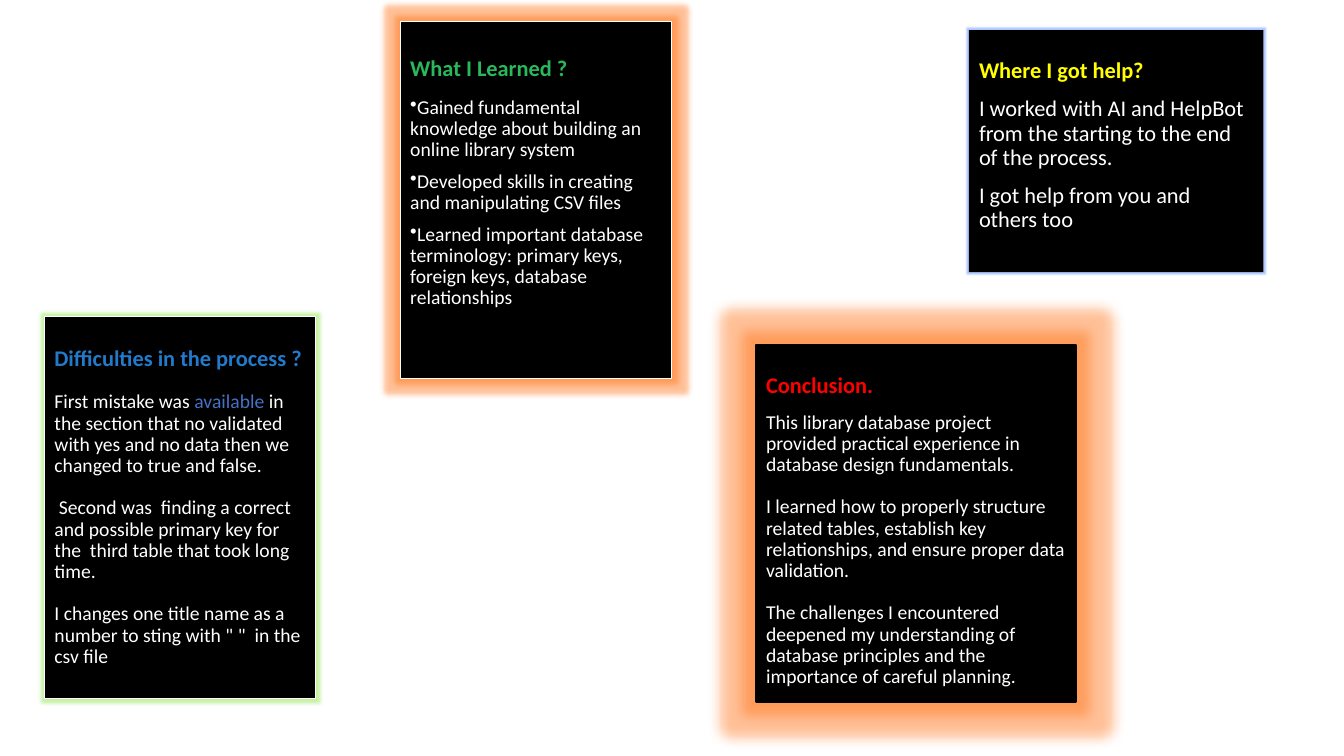
from dataclasses import dataclass

from lxml.etree import SubElement
from pptx import Presentation
from pptx.dml.color import RGBColor
from pptx.enum.text import MSO_ANCHOR, MSO_AUTO_SIZE, PP_ALIGN
from pptx.oxml.ns import qn
from pptx.shapes.autoshape import Shape
from pptx.slide import Slide
from pptx.text.text import _Paragraph as Para
from pptx.util import Inches, Pt

ACCENT = "4472C4"
FRAME = {"word_wrap": True, "auto_size": MSO_AUTO_SIZE.NONE,
         "vertical_anchor": MSO_ANCHOR.TOP,
         "margin_left": Inches(0.1), "margin_right": Inches(0.1)}


@dataclass
class Note:
    box: tuple[float, float, float, float]
    head: str
    hue: str
    body: list[str]  # text between bars takes the accent colour
    glow: tuple[str, float]  # colour, radius in points
    line: tuple[str, float] | None = None  # colour, width in points
    top: float = 0.29
    size: int = 14
    gaps: tuple[float, float] = (10, 10)  # after the head, between paragraphs
    bullet: bool = False
    holder: int | None = None


NOTES = [
    Note((0.44, 3.14, 2.69, 3.79), "Difficulties in the process ?", "227ACB",
         ["First mistake was |available| in the section that no validated with "
          "yes and no data then we changed to true and false.",
          " Second was  finding a correct and possible primary key for the  "
          "third table that took long time.",
          "I changes one title name as a number to sting with \" \"  in the csv file"],
         ("70DD1E", 5), ("FFFFFF", 0.5), top=0.3, gaps=(15, 15.2), holder=0),
    Note((9.61, 0.3, 2.92, 2.4), "Where I got help?", "FFFF00",
         ["I worked with AI and HelpBot from the starting to the end of the process.",
          "I got help from you and others too"],
         ("2E74FF", 3), size=16, holder=1),
    Note((3.97, 0.21, 2.69, 3.54), "What I Learned ?", "29B95C",
         ["Gained fundamental knowledge about building an online library system",
          "Developed skills in creating and manipulating CSV files",
          "Learned important database terminology: primary keys, foreign keys, "
          "database relationships"],
         ("FF6600", 8), ("FFFFFF", 0.5), top=0.36, gaps=(11.2, 7.5), bullet=True),
    Note((7.5, 3.42, 3.17, 3.54), "Conclusion.", "FF0000",
         ["This library database project provided practical experience in "
          "database design fundamentals.",
          "I learned how to properly structure related tables, establish key "
          "relationships, and ensure proper data validation.",
          "The challenges I encountered deepened my understanding of database "
          "principles and the importance of careful planning."],
         ("FF6600", 18), ("000000", 1.5), gaps=(10, 15.2)),
]


def color(code: str) -> RGBColor:
    return RGBColor.from_string(code)


def set_all(item: object, values: dict) -> None:
    for name, value in values.items():
        setattr(item, name, value)


def add_glow(shape: Shape, hue: str, radius: float) -> None:
    effects = SubElement(shape._element.spPr, qn("a:effectLst"))
    glow = SubElement(effects, qn("a:glow"), rad=str(Pt(radius)))
    tint = SubElement(glow, qn("a:srgbClr"), val=hue)
    SubElement(tint, qn("a:alpha"), val="40000")


def format_para(para: Para, gap: float, bullet: bool) -> None:
    set_all(para, {"alignment": PP_ALIGN.LEFT, "line_spacing": 0.9,
                   "space_before": Pt(gap), "space_after": Pt(0)})
    props = para._p.get_or_add_pPr()
    props.set("marL", "0")
    props.set("indent", "0")
    if bullet:
        SubElement(props, qn("a:buChar"), char="•")
    else:
        SubElement(props, qn("a:buNone"))


def add_run(para: Para, text: str, size: int, hue: str, bold: bool = False) -> None:
    run = para.add_run()
    run.text = text
    set_all(run.font, {"name": "Calibri", "size": Pt(size), "bold": bold})
    run.font.color.rgb = color(hue)


def draw_note(slide: Slide, note: Note) -> None:
    places = [Inches(side) for side in note.box]
    if note.holder is None:
        shape = slide.shapes.add_textbox(*places)
    else:
        shape = slide.placeholders[note.holder]
        set_all(shape, dict(zip(("left", "top", "width", "height"), places)))
    shape.fill.solid()
    shape.fill.fore_color.rgb = color("000000")
    if note.line:
        hue, width = note.line
        shape.line.color.rgb = color(hue)
        shape.line.width = Pt(width)
    else:
        shape.line.fill.background()
    add_glow(shape, *note.glow)

    frame = shape.text_frame
    set_all(frame, FRAME | {"margin_top": Inches(note.top)})
    head = frame.paragraphs[0]
    format_para(head, 0, False)
    add_run(head, note.head, 16, note.hue, True)
    for row, text in enumerate(note.body):
        para = frame.add_paragraph()
        format_para(para, note.gaps[min(row, 1)], note.bullet)
        for part, piece in enumerate(text.split("|")):
            add_run(para, piece, note.size, ACCENT if part % 2 else "FFFFFF")


def main() -> None:
    deck = Presentation()
    set_all(deck, {"slide_width": Inches(13.33), "slide_height": Inches(7.5)})
    slide = deck.slides.add_slide(deck.slide_layouts[1])
    for note in NOTES:
        draw_note(slide, note)
    deck.save("out.pptx")


if __name__ == "__main__":
    main()
